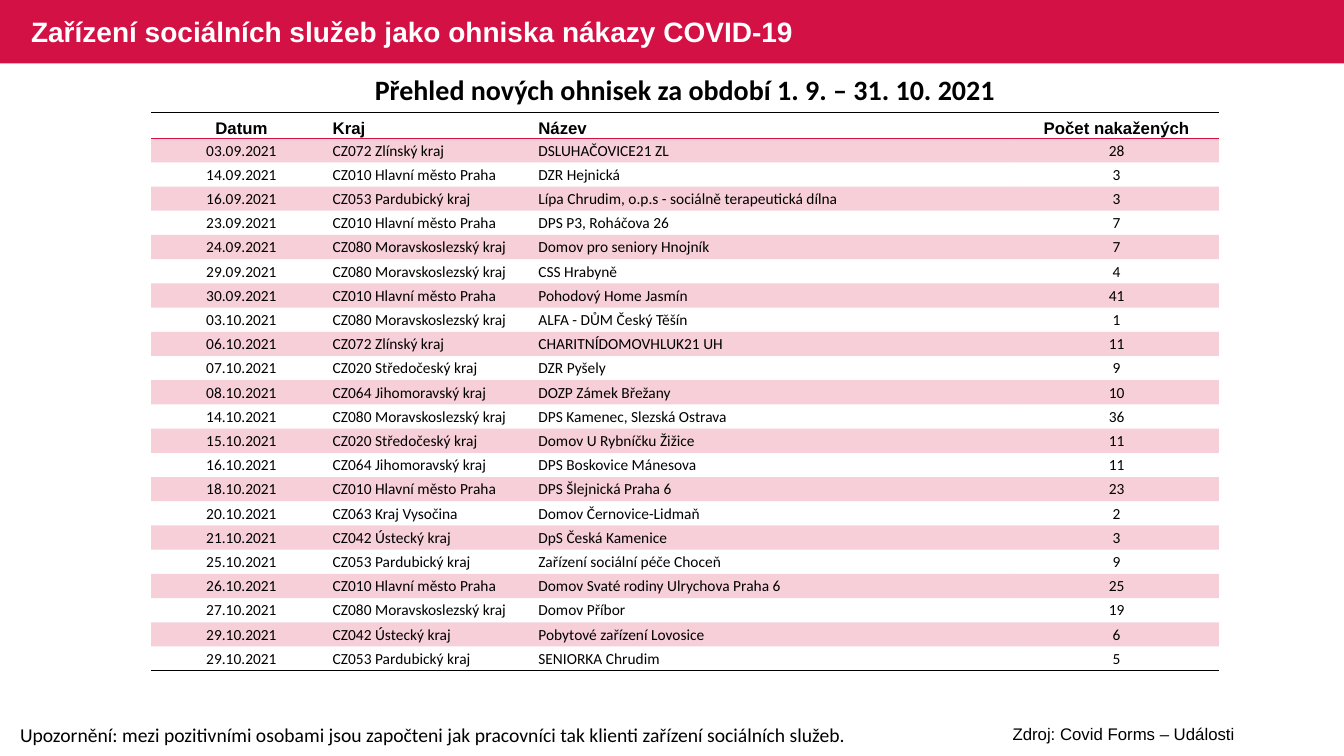
from lxml.etree import SubElement as Sub
from pptx import Presentation
from pptx.dml.color import RGBColor
from pptx.enum.shapes import MSO_SHAPE as Shape
from pptx.enum.text import MSO_ANCHOR as Anchor, PP_ALIGN as Align
from pptx.oxml.ns import qn
from pptx.util import Inches, Pt

RED = RGBColor(0xD3, 0x11, 0x45)
BLACK = RGBColor(0, 0, 0)
WHITE = RGBColor(0xFF, 0xFF, 0xFF)

NO_GRID = "{2D5ABB26-0587-4C30-8999-92F81FD0307C}"
WIDTHS = [1.79, 2.04, 4.73, 2.03]
ALIGNS = [Align.CENTER, Align.LEFT, Align.LEFT, Align.CENTER]
TOP, HIGH, HEAD_H = 1.12, 5.54, 0.25

HEADS = ("Datum", "Kraj", "Název", "Počet nakažených")
REGIONS = {
    "CZ010": "Hlavní město Praha",
    "CZ020": "Středočeský kraj",
    "CZ042": "Ústecký kraj",
    "CZ053": "Pardubický kraj",
    "CZ063": "Kraj Vysočina",
    "CZ064": "Jihomoravský kraj",
    "CZ072": "Zlínský kraj",
    "CZ080": "Moravskoslezský kraj",
}
CASES = [
    ("03.09.2021", "CZ072", "DSLUHAČOVICE21 ZL", 28),
    ("14.09.2021", "CZ010", "DZR Hejnická", 3),
    ("16.09.2021", "CZ053", "Lípa Chrudim, o.p.s - sociálně terapeutická dílna", 3),
    ("23.09.2021", "CZ010", "DPS P3, Roháčova 26", 7),
    ("24.09.2021", "CZ080", "Domov pro seniory Hnojník", 7),
    ("29.09.2021", "CZ080", "CSS Hrabyně", 4),
    ("30.09.2021", "CZ010", "Pohodový Home Jasmín", 41),
    ("03.10.2021", "CZ080", "ALFA - DŮM Český Těšín", 1),
    ("06.10.2021", "CZ072", "CHARITNÍDOMOVHLUK21 UH", 11),
    ("07.10.2021", "CZ020", "DZR Pyšely", 9),
    ("08.10.2021", "CZ064", "DOZP Zámek Břežany", 10),
    ("14.10.2021", "CZ080", "DPS Kamenec, Slezská Ostrava", 36),
    ("15.10.2021", "CZ020", "Domov U Rybníčku Žižice", 11),
    ("16.10.2021", "CZ064", "DPS Boskovice Mánesova", 11),
    ("18.10.2021", "CZ010", "DPS Šlejnická Praha 6", 23),
    ("20.10.2021", "CZ063", "Domov Černovice-Lidmaň", 2),
    ("21.10.2021", "CZ042", "DpS Česká Kamenice", 3),
    ("25.10.2021", "CZ053", "Zařízení sociální péče Choceň", 9),
    ("26.10.2021", "CZ010", "Domov Svaté rodiny Ulrychova Praha 6", 25),
    ("27.10.2021", "CZ080", "Domov Příbor", 19),
    ("29.10.2021", "CZ042", "Pobytové zařízení Lovosice", 6),
    ("29.10.2021", "CZ053", "SENIORKA Chrudim", 5),
]


def add_run(para, text, size, face, color=BLACK, bold=False):
    run = para.add_run()
    run.text = text
    font = run.font
    font.size, font.name, font.bold = Pt(size), face, bold
    font.color.rgb = color


def add_text(slide, box, text, size, face, color=BLACK, bold=False,
             align=Align.LEFT, anchor=Anchor.TOP, space=None):
    frame = slide.shapes.add_textbox(*map(Inches, box)).text_frame
    frame.word_wrap = True
    frame.vertical_anchor = anchor
    para = frame.paragraphs[0]
    para.alignment = align
    para.line_spacing = space
    add_run(para, text, size, face, color, bold)


def add_band(slide, box):
    band = slide.shapes.add_shape(Shape.RECTANGLE, *map(Inches, box))
    band.shadow.inherit = False
    band.fill.solid()
    band.fill.fore_color.rgb = RED
    band.line.fill.background()


def add_edge(cell, side, color):
    props = cell._tc.get_or_add_tcPr()
    line = Sub(props, qn("a:" + side), w=str(Pt(1)))
    fill = Sub(line, qn("a:solidFill"))
    Sub(fill, qn("a:srgbClr"), val=str(color))


def tint(cell):
    cell.fill.solid()
    cell.fill.fore_color.rgb = RED
    shade = cell._tc.tcPr.find(".//" + qn("a:solidFill") + "/" + qn("a:srgbClr"))
    Sub(shade, qn("a:alpha"), val="20000")


def fill_cell(cell, text, align, head):
    cell.margin_left = cell.margin_right = Inches(0.01)
    cell.margin_top = Inches(0 if head else 0.01)
    cell.margin_bottom = 0
    cell.vertical_anchor = Anchor.BOTTOM if head else Anchor.MIDDLE
    para = cell.text_frame.paragraphs[0]
    para.alignment = align
    size, face = (12, "Arial") if head else (11, "Calibri")
    add_run(para, text, size, face, bold=head)


def add_cases(slide):
    rows = [HEADS] + [(day, f"{code} {REGIONS[code]}", name, str(count))
                      for day, code, name, count in CASES]
    frame = slide.shapes.add_table(
        len(rows), len(HEADS), Inches(1.5), Inches(TOP),
        Inches(sum(WIDTHS)), Inches(HIGH))
    table = frame.table
    table.first_row = table.horz_banding = False
    table._tbl.tblPr.find(qn("a:tableStyleId")).text = NO_GRID
    for col, width in zip(table.columns, WIDTHS):
        col.width = Inches(width)
    last = len(rows) - 1
    for r, row in enumerate(rows):
        table.rows[r].height = Inches((HIGH - HEAD_H) / last if r else HEAD_H)
        for c, text in enumerate(row):
            cell = table.cell(r, c)
            fill_cell(cell, text, ALIGNS[c], r == 0)
            # Rules around the header and under the last row
            if r == 0:
                add_edge(cell, "lnT", BLACK)
                add_edge(cell, "lnB", RED)
            elif r == last:
                add_edge(cell, "lnB", BLACK)
            # Tinted bands on odd rows
            if r % 2:
                tint(cell)
            else:
                cell.fill.background()


def main():
    deck = Presentation()
    deck.slide_width, deck.slide_height = Inches(13.33), Inches(7.5)
    slide = deck.slides.add_slide(deck.slide_layouts[6])

    # Title band
    add_band(slide, (0, 0, 13.33, 0.63))
    add_text(slide, (0.21, 0.02, 8.13, 0.63),
             "Zařízení sociálních služeb jako ohniska nákazy COVID-19",
             20, "Arial", WHITE, True, anchor=Anchor.MIDDLE, space=0.9)

    # Table with its heading
    add_text(slide, (0.53, 0.67, 12.53, 0.44),
             "Přehled nových ohnisek za období 1. 9. – 31. 10. 2021",
             20, "Calibri", bold=True, align=Align.CENTER)
    add_cases(slide)

    # Footnote and source
    add_text(slide, (0.1, 7.12, 8.52, 0.34),
             "Upozornění: mezi pozitivními osobami jsou započteni jak "
             "pracovníci tak klienti zařízení sociálních služeb.",
             14, "Calibri")
    add_text(slide, (9.06, 7.13, 4.17, 0.3), "Zdroj: Covid Forms – Události",
             12, "Arial", align=Align.CENTER)
    deck.save("out.pptx")


if __name__ == "__main__":
    main()
